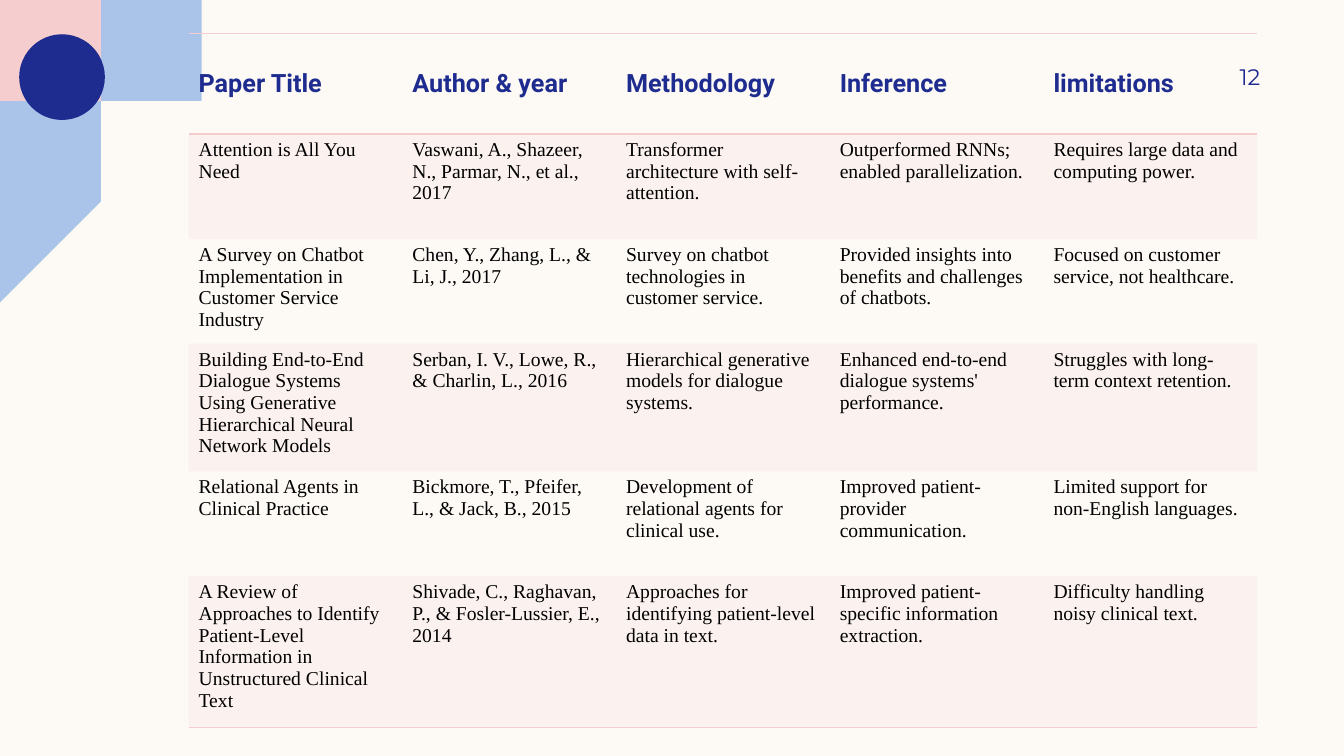
import math
from lxml import etree
from pptx import Presentation
from pptx.dml.color import RGBColor
from pptx.enum.shapes import MSO_SHAPE
from pptx.enum.text import MSO_ANCHOR, PP_ALIGN
from pptx.oxml.ns import qn
from pptx.util import Inches, Pt

OVAL = MSO_SHAPE.OVAL
TOP, MIDDLE = MSO_ANCHOR.TOP, MSO_ANCHOR.MIDDLE
RIGHT = PP_ALIGN.RIGHT
NO_GRID = "{2D5ABB26-0587-4C30-8999-92F81FD0307C}"
CREAM, NAVY, PINK, BLUE, BLACK = "FDFAF6", "1F2C8F", "F5CDCE", "AAC3E8", "000000"

HEADER = ["Paper Title", "Author & year", "Methodology", "Inference", "limitations"]
PAPERS = [
    ["Attention is All You Need",
     "Vaswani, A., Shazeer, N., Parmar, N., et al., 2017",
     "Transformer architecture with self-attention.",
     "Outperformed RNNs; enabled parallelization.",
     "Requires large data and computing power."],
    ["A Survey on Chatbot Implementation in Customer Service Industry",
     "Chen, Y., Zhang, L., & Li, J., 2017",
     "Survey on chatbot technologies in customer service.",
     "Provided insights into benefits and challenges of chatbots.",
     "Focused on customer service, not healthcare."],
    ["Building End-to-End Dialogue Systems Using Generative Hierarchical Neural Network Models",
     "Serban, I. V., Lowe, R., & Charlin, L., 2016",
     "Hierarchical generative models for dialogue systems.",
     "Enhanced end-to-end dialogue systems' performance.",
     "Struggles with long-term context retention."],
    ["Relational Agents in Clinical Practice",
     "Bickmore, T., Pfeifer, L., & Jack, B., 2015",
     "Development of relational agents for clinical use.",
     "Improved patient-provider communication.",
     "Limited support for non-English languages."],
    ["A Review of Approaches to Identify Patient-Level Information in Unstructured Clinical Text",
     "Shivade, C., Raghavan, P., & Fosler-Lussier, E., 2014",
     "Approaches for identifying patient-level data in text.",
     "Improved patient-specific information extraction.",
     "Difficulty handling noisy clinical text."],
]


def rgb(color):
    """Turn a hex string into a colour."""
    return RGBColor.from_string(color)


def arc(radius, center_x=-1.43, steps=40):
    """Return points of a circle from the top edge to the left edge of the slide."""
    end = math.acos(-center_x / radius)
    angles = [end * i / steps for i in range(steps + 1)]
    return [(center_x + radius * math.cos(a), radius * math.sin(a)) for a in angles]


class SlideBuilder:
    """Holds the current slide and its style."""

    def __init__(self, s):
        """Set the slide and paint its background."""
        self.s = s
        s.background.fill.solid()
        s.background.fill.fore_color.rgb = rgb(CREAM)

    def paint(self, sp, color):
        """Fill a shape and remove its line and shadow."""
        sp.fill.solid()
        sp.fill.fore_color.rgb = rgb(color)
        sp.line.fill.background()
        sp.shadow.inherit = False

    def outline(self, points, color):
        """Add a filled shape through the points."""
        builder = self.s.shapes.build_freeform(*points[0], scale=Inches(1))
        builder.add_line_segments(points[1:], close=True)
        self.paint(builder.convert_to_shape(), color)

    def circle(self, x, y, size, color):
        """Add a filled circle."""
        sp = self.s.shapes.add_shape(OVAL, Inches(x), Inches(y), Inches(size), Inches(size))
        self.paint(sp, color)

    def set_text(self, tf, text, font, size, color, bold=False):
        """Put one formatted paragraph in a text frame."""
        tf.text = text
        tf.word_wrap = True
        p = tf.paragraphs[0]
        r = p.runs[0]
        r.font.name, r.font.size, r.font.bold = font, Pt(size), bold
        r.font.color.rgb = rgb(color)
        return p

    def page_number(self, text, x, y, w, h):
        """Add the right-aligned page number."""
        tf = self.s.shapes.add_textbox(Inches(x), Inches(y), Inches(w), Inches(h)).text_frame
        tf.margin_right = 0
        tf.vertical_anchor = MIDDLE
        self.set_text(tf, text, "Montserrat", 16, NAVY).alignment = RIGHT

    def tint(self, cell, color, percent):
        """Fill a cell with a partly opaque colour."""
        cell.fill.solid()
        cell.fill.fore_color.rgb = rgb(color)
        clr = cell._tc.tcPr.find(".//" + qn("a:srgbClr"))
        etree.SubElement(clr, qn("a:alpha"), val=str(percent * 1000))

    def border(self, cell, side, color):
        """Draw a one-point border on a side of a cell."""
        ln = etree.Element(qn("a:" + side), w=str(Pt(1)))
        fill = etree.SubElement(ln, qn("a:solidFill"))
        etree.SubElement(fill, qn("a:srgbClr"), val=color)
        cell._tc.get_or_add_tcPr().insert(0, ln)

    def table(self, rows, x, y, col_w, heights):
        """Add the table with a header and tinted odd rows."""
        frame = self.s.shapes.add_table(len(rows), len(rows[0]), Inches(x), Inches(y),
                                        Inches(col_w * len(rows[0])), Inches(sum(heights)))
        table = frame.table
        table._tbl.tblPr.find(qn("a:tableStyleId")).text = NO_GRID
        for col in table.columns:
            col.width = Inches(col_w)
        for i, (row, height) in enumerate(zip(rows, heights)):
            table.rows[i].height = Inches(height)
            for j, text in enumerate(row):
                cell = table.cell(i, j)
                cell.vertical_anchor = TOP if i else MIDDLE
                if i:
                    self.set_text(cell.text_frame, text, "Times New Roman", 14, BLACK)
                else:
                    self.set_text(cell.text_frame, text, "Roboto", 18, NAVY, True)
                if i % 2:
                    self.tint(cell, PINK, 20)
                else:
                    cell.fill.background()
                if i in (0, len(rows) - 1):
                    self.border(cell, "lnB", PINK)
                if i == 0:
                    self.border(cell, "lnT", PINK)


def main():
    """Build the literature survey slide."""
    prs = Presentation()
    prs.slide_width, prs.slide_height = Inches(13.33), Inches(7.5)
    slide = SlideBuilder(prs.slides.add_slide(prs.slide_layouts[6]))
    inner, outer = arc(2.18), arc(3.13)
    slide.outline(outer + inner[::-1], BLUE)
    slide.outline([(0, 0)] + inner, PINK)
    slide.circle(0.19, 0.34, 0.85, NAVY)
    slide.page_number("12", 11.33, 0.5, 1.17, 0.52)
    slide.table([HEADER] + PAPERS, 1.87, 0.33, 2.12, [1] + [1.04] * len(PAPERS))
    prs.save("out.pptx")


if __name__ == "__main__":
    main()
